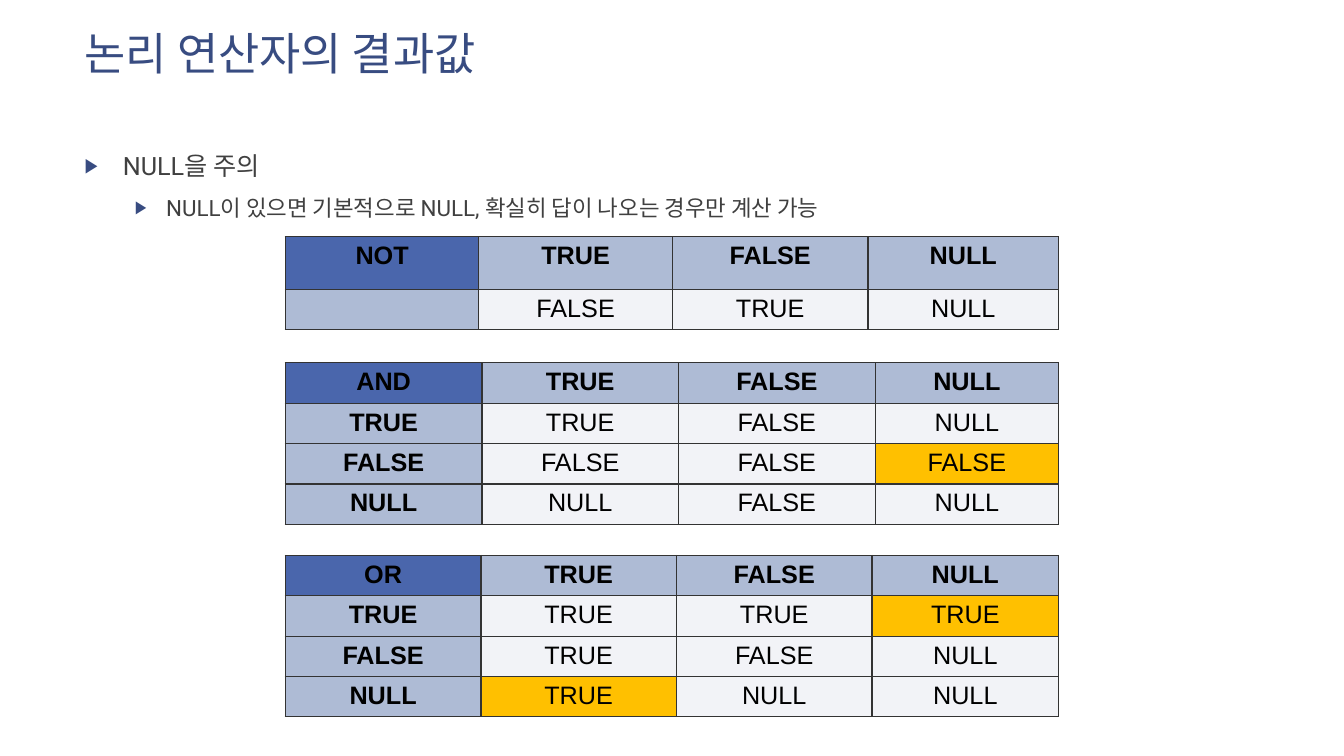
"""Build a slide with the truth tables of NOT, AND and OR with NULL."""
from lxml import etree
from pptx import Presentation, util as u
from pptx.dml.color import RGBColor
from pptx.enum import text
from pptx.oxml import ns

NAVY = RGBColor(0x38, 0x4C, 0x81)
GRAY = RGBColor(0x40, 0x40, 0x40)
BLACK = RGBColor(0, 0, 0)
BORDER = RGBColor(0x33, 0x33, 0x33)
OPERATOR = RGBColor(0x4A, 0x66, 0xAC)
HEADER = RGBColor(0xAE, 0xBB, 0xD5)
RESULT = RGBColor(0xF2, 0xF3, 0xF7)
HIGHLIGHT = RGBColor(0xFF, 0xC0, 0x00)


def add_run(paragraph, words, size, color, font="Roboto", bold=False):
    run = paragraph.add_run()
    run.text = words
    run.font.size = u.Pt(size)
    run.font.name = font
    run.font.bold = bold
    run.font.color.rgb = color


def add_node(parent, tag, **attributes):
    return etree.SubElement(parent, ns.qn(tag), attributes)


prs = Presentation()
prs.slide_width = u.Inches(13.33)
prs.slide_height = u.Inches(7.5)
slide = prs.slides.add_slide(prs.slide_layouts[6])

title = slide.shapes.add_textbox(u.Inches(0.74), u.Inches(0.21), u.Inches(9.4), u.Inches(1.23)).text_frame
title.word_wrap = True
add_run(title.paragraphs[0], "논리 연산자의 결과값", 32, NAVY)

notice = slide.shapes.add_textbox(u.Inches(0.74), u.Inches(1.44), u.Inches(9.4), u.Inches(5.16)).text_frame
notice.word_wrap = True
points = [
    ("NULL을 주의", 18, 0.38, 0.38),
    ("NULL이 있으면 기본적으로 NULL, 확실히 답이 나오는 경우만 계산 가능", 16, 0.81, 0.31),
]
for level, (words, size, margin, hanging) in enumerate(points):
    point = notice.add_paragraph() if level else notice.paragraphs[0]
    point.level = level
    if level:
        point.space_before = u.Pt(10)
    layout = point._p.get_or_add_pPr()
    layout.set("marL", str(u.Inches(margin)))
    layout.set("indent", str(-u.Inches(hanging)))
    add_node(add_node(layout, "a:buClr"), "a:srgbClr", val=str(NAVY))
    add_node(layout, "a:buSzPct", val="80000")
    add_node(layout, "a:buFont", typeface="Arial")
    add_node(layout, "a:buChar", char="▶")
    add_run(point, words, size, GRAY)

truth_tables = [
    (3.6, [1.95, 1.95, 1.95, 1.82], [0.4] * 4, {(2, 3)}, [
        ["AND", "TRUE", "FALSE", "NULL"],
        ["TRUE", "TRUE", "FALSE", "NULL"],
        ["FALSE", "FALSE", "FALSE", "FALSE"],
        ["NULL", "NULL", "FALSE", "NULL"],
    ]),
    (5.51, [1.94, 1.94, 1.94, 1.85], [0.4] * 4, {(1, 3), (3, 1)}, [
        ["OR", "TRUE", "FALSE", "NULL"],
        ["TRUE", "TRUE", "TRUE", "TRUE"],
        ["FALSE", "TRUE", "FALSE", "NULL"],
        ["NULL", "TRUE", "NULL", "NULL"],
    ]),
    (2.35, [1.92, 1.92, 1.94, 1.89], [0.52, 0.4], set(), [
        ["NOT", "TRUE", "FALSE", "NULL"],
        ["", "FALSE", "TRUE", "NULL"],
    ]),
]
for top, widths, heights, exceptions, values in truth_tables:
    table = slide.shapes.add_table(
        len(heights), len(widths), u.Inches(2.83), u.Inches(top),
        u.Inches(sum(widths)), u.Inches(sum(heights))).table
    for column, width in zip(table.columns, widths):
        column.width = u.Inches(width)
    for r, height in enumerate(heights):
        table.rows[r].height = u.Inches(height)
        for c, value in enumerate(values[r]):
            cell = table.cell(r, c)
            is_header = r == 0 or c == 0
            for side in ("a:lnL", "a:lnR", "a:lnT", "a:lnB"):
                edge = add_node(cell._tc.get_or_add_tcPr(), side, w=str(u.Pt(1)))
                add_node(add_node(edge, "a:solidFill"), "a:srgbClr", val=str(BORDER))
            cell.fill.solid()
            if r == c == 0:
                cell.fill.fore_color.rgb = OPERATOR
            elif is_header:
                cell.fill.fore_color.rgb = HEADER
            else:
                cell.fill.fore_color.rgb = HIGHLIGHT if (r, c) in exceptions else RESULT
            entry = cell.text_frame.paragraphs[0]
            entry.alignment = text.PP_ALIGN.CENTER
            if value:
                add_run(entry, value, 18, BLACK, "Arial", is_header)

prs.save("out.pptx")
